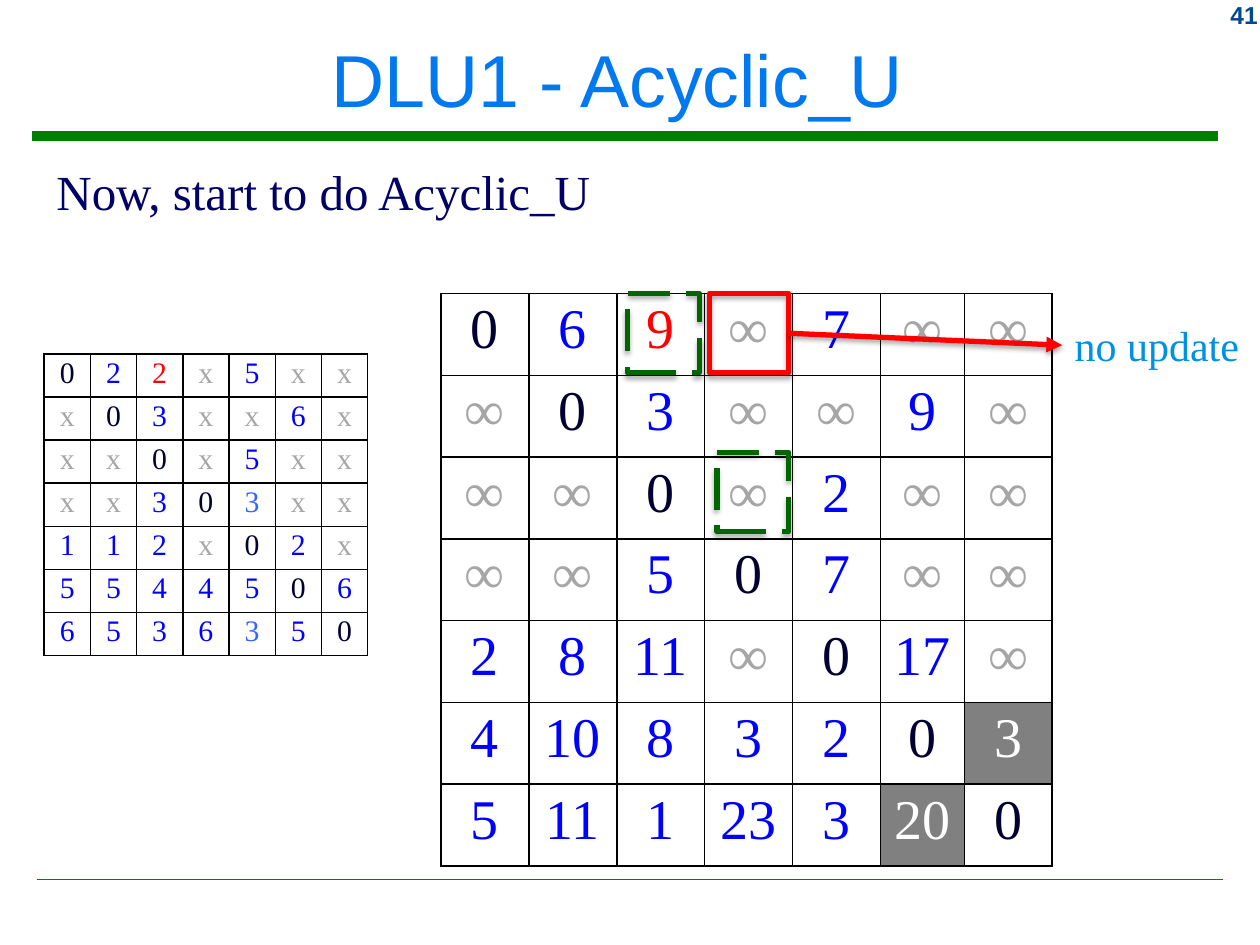
from dataclasses import dataclass, field
from typing import Optional

from lxml.etree import SubElement
from pptx import Presentation
from pptx.dml.color import RGBColor
from pptx.enum.dml import MSO_LINE
from pptx.enum.shapes import MSO_CONNECTOR as CXN, MSO_SHAPE as SHAPE
from pptx.enum.text import MSO_ANCHOR as ANCHOR, MSO_AUTO_SIZE as FIT, PP_ALIGN as ALIGN
from pptx.oxml.ns import qn
from pptx.util import Inches, Pt

# The slide is ruled into 100 columns and 75 rows
WIDTH, HEIGHT = Inches(10), Inches(7.5)
COL, ROW = WIDTH / 100, HEIGHT / 75

COLORS = {
    "title": "0078F0", "page": "004992", "body": "000066", "note": "0090E5",
    "rule": "008000", "border": "000000", "paper": "FFFFFF", "shade": "808080",
    "zero": "000033", "value": "0000FF", "missing": "A6A6A6",
    "soft": "3366FF", "focus": "FF0000", "source": "006600",
}
SERIF, SANS = "Times New Roman", "Arial"


@dataclass
class Label:
    text: str
    box: tuple
    color: str
    font: dict
    align: ALIGN = ALIGN.LEFT
    frame: dict = field(default_factory=dict)


@dataclass
class Matrix:
    left: float
    top: float
    widths: list
    row_height: float
    size: float
    margins: tuple
    rows: list
    marks: dict                                   # (row, column) -> text colour
    shaded: set = field(default_factory=set)


@dataclass
class Frame:
    box: tuple
    color: str
    dash: Optional[MSO_LINE] = None


def rgb(name: str) -> RGBColor:
    return RGBColor.from_string(COLORS[name])


def place(box: tuple) -> list:
    return [round(n * unit) for n, unit in zip(box, (COL, ROW, COL, ROW))]


def set_all(target, values: dict) -> None:
    for name, value in values.items():
        setattr(target, name, value)


def write(tf, text: str, color: str, font: dict, align: ALIGN) -> None:
    p = tf.paragraphs[0]
    p.alignment = align
    r = p.add_run()
    r.text = text
    set_all(r.font, font)
    r.font.color.rgb = rgb(color)


def add_label(shapes, label: Label):
    sp = shapes.add_textbox(*place(label.box))
    set_all(sp.text_frame, label.frame)
    write(sp.text_frame, label.text, label.color, label.font, label.align)
    return sp


def add_shadow(effects, alpha: int, distance: float) -> None:
    shadow = SubElement(effects, qn("a:outerShdw"), blurRad=str(Pt(3.1)),
                        dist=str(Pt(distance)), dir="5400000", rotWithShape="0")
    black = SubElement(shadow, qn("a:srgbClr"), val="000000")
    SubElement(black, qn("a:alpha"), val=str(alpha * 1000))


def add_line(shapes, start: tuple, end: tuple, color: str, width: float):
    line = shapes.add_connector(CXN.STRAIGHT, *place(start + end))
    line.line.color.rgb = rgb(color)
    line.line.width = Pt(width)
    effects = SubElement(line._element.spPr, qn("a:effectLst"))
    return line, effects


def add_frame(shapes, frame: Frame):
    sp = shapes.add_shape(SHAPE.RECTANGLE, *place(frame.box))
    sp.fill.background()
    sp.line.color.rgb = rgb(frame.color)
    sp.line.width = Pt(3)
    if frame.dash:
        sp.line.dash_style = frame.dash
    sp.shadow.inherit = False
    add_shadow(sp._element.spPr.find(qn("a:effectLst")), 35, 1.8)
    return sp


def add_borders(cell) -> None:
    props = cell._tc.get_or_add_tcPr()
    for side in "LRTB":
        ln = SubElement(props, qn(f"a:ln{side}"), w=str(Pt(1)))
        SubElement(SubElement(ln, qn("a:solidFill")), qn("a:srgbClr"), val=COLORS["border"])


def value_color(text: str) -> str:
    return {"0": "zero", "x": "missing", "∞": "missing"}.get(text, "value")


def add_matrix(shapes, m: Matrix) -> None:
    count = len(m.rows)
    box = (m.left, m.top, sum(m.widths), count * m.row_height)
    table = shapes.add_table(count, len(m.widths), *place(box)).table
    set_all(table, {"first_row": False, "horz_banding": False})
    for column, width in zip(table.columns, m.widths):
        column.width = round(width * COL)
    side, end = (Inches(n) for n in m.margins)
    margins = {"margin_left": side, "margin_right": side,
               "margin_top": end, "margin_bottom": end}
    font = {"name": SERIF, "size": Pt(m.size)}
    for i, row in enumerate(m.rows):
        table.rows[i].height = round(m.row_height * ROW)
        for j, text in enumerate(row.split()):
            cell, at = table.cell(i, j), (i, j)
            set_all(cell, margins)
            add_borders(cell)
            cell.fill.solid()
            cell.fill.fore_color.rgb = rgb("shade" if at in m.shaded else "paper")
            color = m.marks.get(at, value_color(text))
            write(cell.text_frame, text, color, font, ALIGN.CENTER)


GROW = {"word_wrap": False, "auto_size": FIT.SHAPE_TO_FIT_TEXT}
LABELS = [
    Label("41", (91.7, -0.5, 9.1, 3.3), "page",
          {"name": SANS, "size": Pt(14), "bold": True}, ALIGN.RIGHT, {"word_wrap": True}),
    # The closing space shifts the centred title slightly left
    Label("DLU1 - Acyclic_U ", (0.8, 0.9, 98, 10.6), "title",
          {"name": SANS, "size": Pt(42)}, ALIGN.CENTER,
          {"word_wrap": True, "vertical_anchor": ANCHOR.MIDDLE}),
    Label("Now, start to do Acyclic_U", (3.5, 12.3, 45, 5.7), "body",
          {"name": SERIF, "size": Pt(28)}, frame=GROW),
]
NOTE = Label("no update", (84.3, 24.9, 15.2, 5), "note",
             {"name": SERIF, "size": Pt(24)}, frame=GROW)

WEIGHTS = Matrix(
    3.5, 28.1, [3.67] * 7, 3.42, 17, (0.05, 0.02),
    ["0 2 2 x 5 x x",
     "x 0 3 x x 6 x",
     "x x 0 x 5 x x",
     "x x 3 0 3 x x",
     "1 1 2 x 0 2 x",
     "5 5 4 4 5 0 6",
     "6 5 3 6 3 5 0"],
    {(0, 2): "focus", (3, 4): "soft", (6, 4): "soft"})
DISTANCES = Matrix(
    35, 23.3, [6.98] * 5 + [6.65, 6.98], 6.49, 32, (0.09, 0.04),
    ["0 6 9 ∞ 7 ∞ ∞",
     "∞ 0 3 ∞ ∞ 9 ∞",
     "∞ ∞ 0 ∞ 2 ∞ ∞",
     "∞ ∞ 5 0 7 ∞ ∞",
     "2 8 11 ∞ 0 17 ∞",
     "4 10 8 3 2 0 3",
     "5 11 1 23 3 20 0"],
    {(0, 2): "focus", (5, 6): "paper", (6, 5): "paper"}, {(5, 6), (6, 5)})

TARGET = Frame((56.3, 23.3, 6.3, 6.3), "focus")
SOURCES = [Frame((left, top, 5.7, 6.3), "source", MSO_LINE.LONG_DASH)
           for left, top in ((49.8, 23.3), (56.9, 35.9))]


def main() -> None:
    prs = Presentation()
    set_all(prs, {"slide_width": WIDTH, "slide_height": HEIGHT})
    shapes = prs.slides.add_slide(prs.slide_layouts[6]).shapes

    # Rules and headings
    add_line(shapes, (2.5, 10.8), (96.7, 10.8), "rule", 5.25)
    add_line(shapes, (2.9, 69.8), (97.1, 69.8), "rule", 1)
    for label in LABELS:
        add_label(shapes, label)

    # Weight and distance matrices
    for matrix in (WEIGHTS, DISTANCES):
        add_matrix(shapes, matrix)

    # Target cell, joined by an arrow to its note
    group = shapes.add_group_shape().shapes
    target = add_frame(group, TARGET)
    arrow, effects = add_line(group, (62.6, 26.45), (84.3, 27.4), "focus", 3)
    add_shadow(effects, 38, 1.6)
    SubElement(arrow.line._get_or_add_ln(), qn("a:tailEnd"), type="triangle")
    note = add_label(group, NOTE)
    arrow.begin_connect(target, 3)
    arrow.end_connect(note, 1)

    # Cells the target is computed from
    for frame in SOURCES:
        add_frame(shapes, frame)

    prs.save("out.pptx")


if __name__ == "__main__":
    main()
